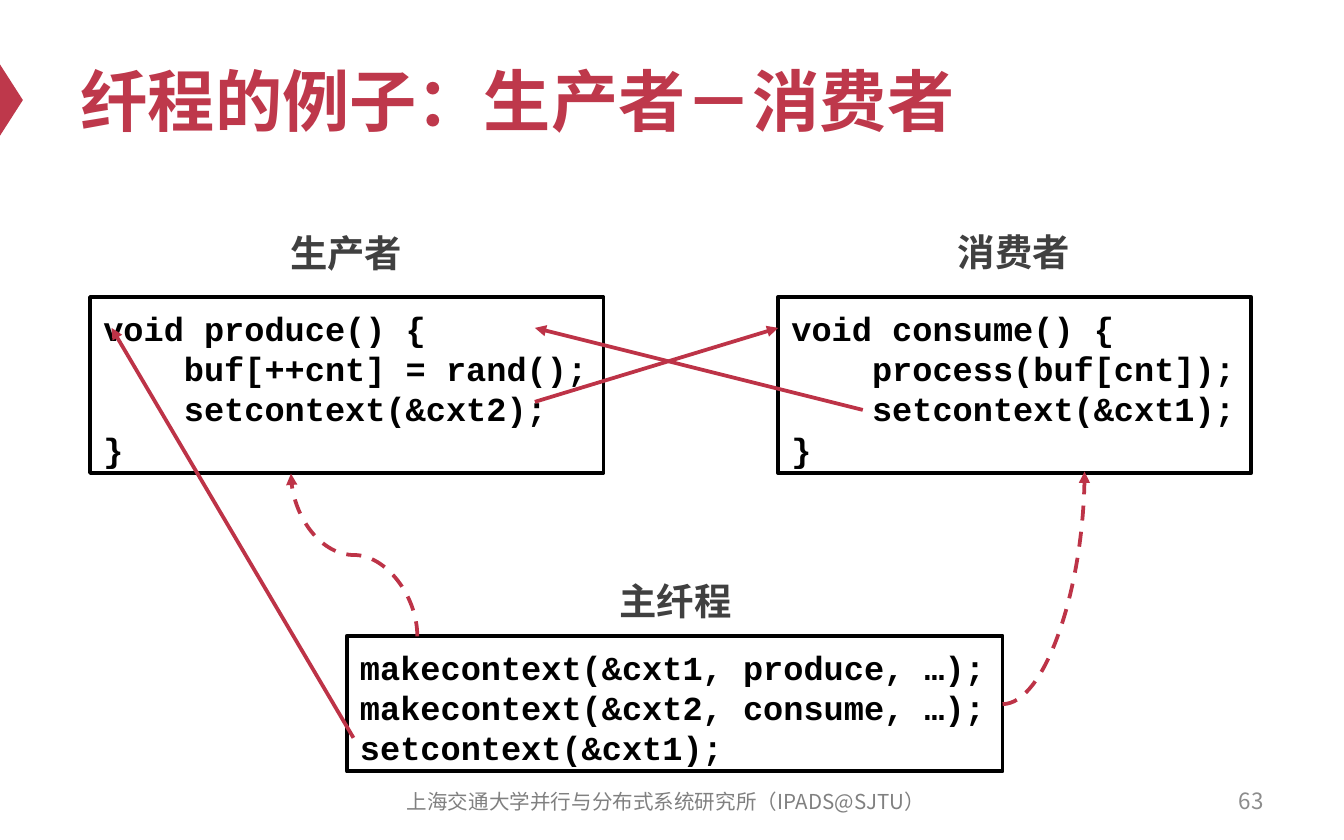
from lxml import etree
from pptx import Presentation
from pptx.dml.color import RGBColor
from pptx.enum.dml import MSO_LINE
from pptx.enum.shapes import MSO_CONNECTOR, MSO_SHAPE
from pptx.enum.text import MSO_ANCHOR, PP_ALIGN
from pptx.oxml.ns import qn
from pptx.util import Inches, Pt

RECT, TRI = MSO_SHAPE.RECTANGLE, MSO_SHAPE.ISOSCELES_TRIANGLE
LINE, CURVE = MSO_CONNECTOR.STRAIGHT, MSO_CONNECTOR.CURVE
DASH = MSO_LINE.DASH
MID = MSO_ANCHOR.MIDDLE
TOP = MSO_ANCHOR.TOP
LEFT, CENTER, RIGHT = PP_ALIGN.LEFT, PP_ALIGN.CENTER, PP_ALIGN.RIGHT
SANS, MONO, HAN = "Arial", "Courier New", "Noto Sans CJK SC"
COLS, ROWS, CELL = 100, 62.5, 0.1
HUES = {"title": "BE384B", "arrow": "BD3347", "code": "000000",
        "label": "404040", "foot": "808080", "page": "8C8C8C"}

CODES = [
    ((6.7, 22.1, 38.2, 13.1), ["void produce() {", "    buf[++cnt] = rand();",
                               "    setcontext(&cxt2);", "}"]),
    ((57.9, 22.1, 35.2, 13.1), ["void consume() {", "    process(buf[cnt]);",
                                "    setcontext(&cxt1);", "}"]),
    ((25.8, 47.3, 48.8, 10.1), ["makecontext(&cxt1, produce, …);",
                                "makecontext(&cxt2, consume, …);",
                                "setcontext(&cxt1);"]),
]
LABELS = [("生产者", 20.6, 16.6), ("消费者", 70.3, 16.5), ("主纤程", 45.1, 42.5)]
JUMPS = [((39.8, 29.9), (57.9, 24.4)), ((64.2, 30.5), (39.8, 24.4)),
         ((26.3, 54.9), (8.3, 24.4))]


def grid(*cells):
    """Turn grid cells into slide lengths."""
    return [Inches(cell * CELL) for cell in cells]


def hue(name):
    """Look up a colour."""
    return RGBColor.from_string(HUES[name])


def write(para, text, face, size, tint, bold=False):
    """Add one styled run to a paragraph."""
    run = para.add_run()
    run.text = text
    font = run.font
    font.name, font.size, font.bold = face, Pt(size), bold
    font.color.rgb = hue(tint)
    east = etree.SubElement(run._r.get_or_add_rPr(), qn("a:ea"))
    east.set("typeface", HAN)


def add_title(slide, text):
    """Place the title and its side marker."""
    mark = slide.shapes.add_shape(TRI, *grid(-1.8, 6.6, 5.3, 1.7))
    mark.rotation = 90
    mark.shadow.inherit = False
    mark.fill.solid()
    mark.fill.fore_color.rgb = hue("title")
    mark.line.fill.background()
    head = slide.shapes.title
    head.left, head.top, head.width, head.height = grid(5, 2.5, 90, 9.8)
    head.text_frame.vertical_anchor = MID
    para = head.text_frame.paragraphs[0]
    para.alignment = LEFT
    write(para, text, SANS, 36, "title", True)


def add_code(slide, area, lines):
    """Draw a framed code listing."""
    box = slide.shapes.add_shape(RECT, *grid(*area))
    box.shadow.inherit = False
    box.fill.background()
    box.line.color.rgb = hue("code")
    box.line.width = Pt(2)
    frame = box.text_frame
    frame.word_wrap = False
    frame.vertical_anchor = TOP
    frame.margin_top = Inches(0.08)
    for row, line in enumerate(lines):
        para = frame.add_paragraph() if row else frame.paragraphs[0]
        para.alignment = LEFT
        para.line_spacing = Pt(21.6)
        write(para, line, MONO, 18, "code", True)


def add_text(slide, area, text, face, size, tint, align, bold=False, wrap=True):
    """Place a single line of text."""
    frame = slide.shapes.add_textbox(*grid(*area)).text_frame
    frame.word_wrap = wrap
    frame.vertical_anchor = MID
    para = frame.paragraphs[0]
    para.alignment = align
    write(para, text, face, size, tint, bold)


def add_arrow(slide, start, end, kind=LINE):
    """Draw an arrow and return its shape properties."""
    link = slide.shapes.add_connector(kind, *grid(*start, *end))
    link.line.color.rgb = hue("arrow")
    link.line.width = Pt(2)
    if kind == CURVE:
        link.line.dash_style = DASH
    tip = etree.SubElement(link.line._get_or_add_ln(), qn("a:tailEnd"))
    tip.set("type", "triangle")
    props = link._element.spPr
    etree.SubElement(props, qn("a:effectLst"))
    return props


def main():
    """Build the slide."""
    deck = Presentation()
    deck.slide_width, deck.slide_height = grid(COLS, ROWS)
    slide = deck.slides.add_slide(deck.slide_layouts[5])
    add_title(slide, "纤程的例子：生产者－消费者")
    for area, lines in CODES:
        add_code(slide, area, lines)
    for text, left, top in LABELS:
        add_text(slide, (left, top, 10.4, 4.4), text, SANS, 20, "label",
                 LEFT, True, False)
    for start, end in JUMPS:
        add_arrow(slide, start, end)
    bend = add_arrow(slide, (20.3, 46), (32.4, 36.6), CURVE)
    bend.find(qn("a:xfrm")).set("rot", str(270 * 60000))
    arc = add_arrow(slide, (74.6, 52.4), (80.7, 35.1), CURVE)
    arc.find(qn("a:prstGeom")).set("prst", "curvedConnector2")
    add_text(slide, (27.9, 58, 43.3, 3.3),
             "上海交通大学并行与分布式系统研究所（IPADS@SJTU）",
             HAN, 11, "foot", CENTER)
    add_text(slide, (71.7, 57.9, 23.3, 3.3), "63", HAN, 12, "page", RIGHT)
    deck.save("out.pptx")


if __name__ == "__main__":
    main()
